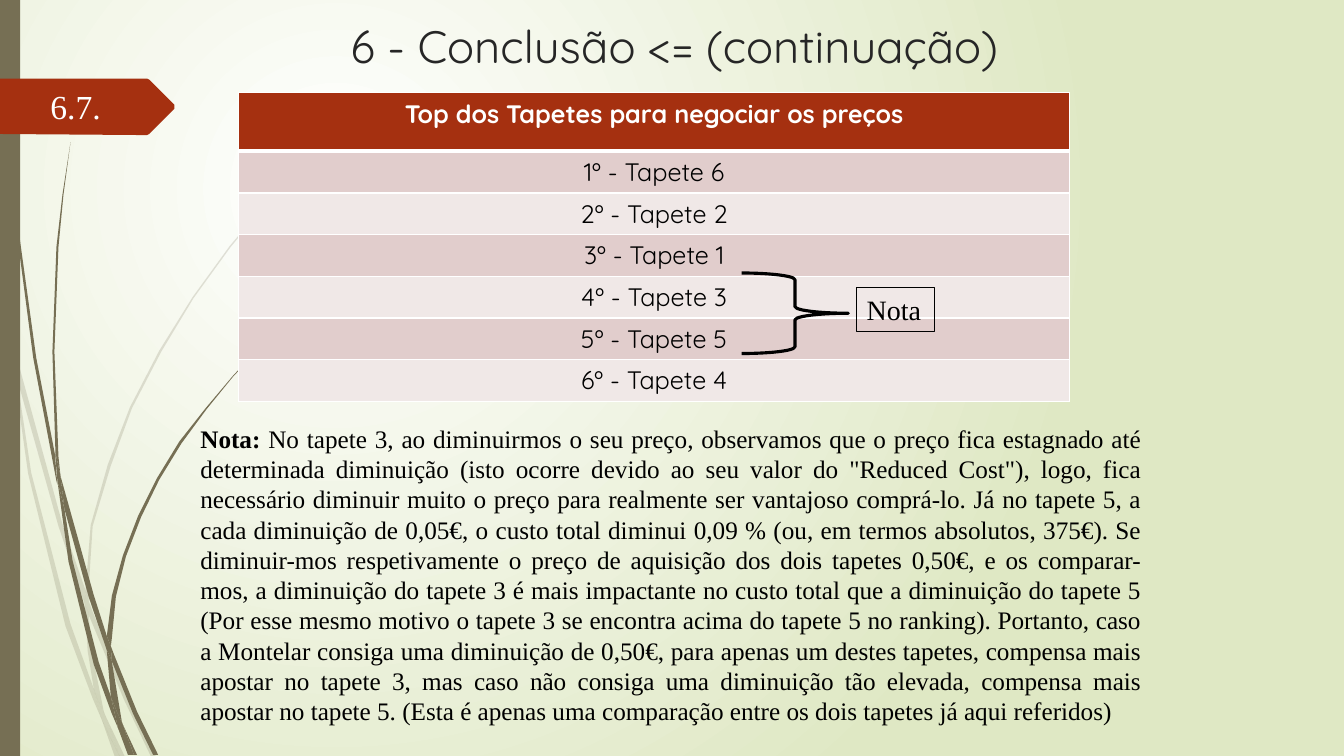
from dataclasses import dataclass
from typing import Any

from lxml.etree import SubElement
from pptx import Presentation
from pptx.dml.color import RGBColor
from pptx.enum.shapes import MSO_SHAPE as Preset
from pptx.enum.text import MSO_ANCHOR as Anchor, PP_ALIGN as Align
from pptx.oxml.ns import qn
from pptx.util import Cm, Pt

OLIVE, RUST, WHITE, BLACK = "766F54", "A53010", "FFFFFF", "000000"
SANS, SERIF = "Quicksand", "Times New Roman"
OUTLINE_UNIT = Cm(0.0254)


@dataclass(frozen=True)
class Style:
    size: float
    font: str
    color: str = BLACK
    bold: bool = False


@dataclass(frozen=True)
class TextBlock:
    box: tuple[float, float, float, float]
    runs: list[tuple[str, Style]]
    align: Align = Align.LEFT
    anchor: Anchor = Anchor.TOP
    border: str | None = None


@dataclass(frozen=True)
class Plant:
    opacity: int
    leaves: list[str]


PALE_PLANT = Plant(20, [
    "11,350 9,322 0,282 0,299 10,344",
    "58,522 84,599 85,586 62,520 14,345 17,376",
    "92,607 88,596 88,610 123,694 150,751 155,751 127,692",
    "119,751 124,751 105,711",
    "93,683 70,619 31,469 17,376 11,350 28,470 65,621 92,693 101,714 99,707",
    "84,599 87,646 93,683 96,692 105,711 103,706 91,646 88,610 88,608",
    "88,584 92,522 110,462 131,405 160,349 192,296 229,245 268,198 290,175 312,154 312,153 "
    "289,175 268,197 228,244 191,295 158,348 129,404 107,461 90,521 85,584 85,586 88,596",
    "101,714 114,751 119,751",
    "88,608 88,610 88,596 85,586 84,599",
    "96,692 93,683 99,707 101,714 119,751 105,711",
])
DARK_PLANT = Plant(100, [
    "7,110 17,233 33,355 56,477 57,481 55,457 55,453 36,355 19,232 8,109 5,48 4,0 3,0 4,48",
    "88,592 106,645 106,633 106,631 93,590 60,472 64,505",
    "113,649 110,641 111,656 132,708 152,749 157,749 136,706",
    "110,691 98,657 72,556 64,505 57,477 68,557 93,659 111,708 117,722 116,717",
    "60,472 58,453 54,349 58,245 63,193 70,141 62,193 56,245 52,349 55,449",
    "133,749 136,749 122,719",
    "57,477 64,505 60,472 55,449 55,453",
    "111,633 115,592 125,552 140,513 158,476 180,440 205,406 231,374 245,359 261,344 260,344 "
    "245,358 231,373 204,405 178,438 156,474 137,512 122,551 111,591 106,631 110,641",
    "117,722 127,749 131,749",
    "106,645 110,691 116,706 122,719 121,716 111,656 109,651",
    "106,645 109,651 111,656 110,641 106,631 106,633",
    "116,706 110,691 116,717 117,722 130,749 133,749 122,719",
])
RIBBON = "173,108 148,133 146,134 136,134 0,133 0,78 136,78 146,78 148,79 173,104"

HEADING = "Top dos Tapetes para negociar os preços"
RANKED_RUGS = [6, 2, 1, 3, 5, 4]
NOTE_SENTENCES = [
    " No tapete 3, ao diminuirmos o seu preço, observamos que o preço fica estagnado até "
    "determinada diminuição (isto ocorre devido ao seu valor do \"Reduced Cost\"), logo, fica "
    "necessário diminuir muito o preço para realmente ser vantajoso comprá-lo. ",
    "Já no tapete 5, a cada diminuição de 0,05€, o custo total diminui 0,09 % (ou, em termos "
    "absolutos, 375€). ",
    "Se diminuir-mos respetivamente o preço de aquisição dos dois tapetes 0,50€, e os "
    "comparar-mos, a diminuição do tapete 3 é mais impactante no custo total que a diminuição "
    "do tapete 5 (Por esse mesmo motivo o tapete 3 se encontra acima do tapete 5 no ranking). ",
    "Portanto, caso a Montelar consiga uma diminuição de 0,50€, para apenas um destes tapetes, "
    "compensa mais apostar no tapete 3, mas caso não consiga uma diminuição tão elevada, "
    "compensa mais apostar no tapete 5. ",
    "(Esta é apenas uma comparação entre os dois tapetes já aqui referidos)",
]
TEXT_BLOCKS = [
    TextBlock((8.59, 0.3, 18.42, 1.7),
              [("6 - Conclusão <= (continuação)", Style(32.4, SANS, "262626"))],
              anchor=Anchor.MIDDLE),
    TextBlock((4.8, 10.54, 24.23, 7.95),
              [("Nota:", Style(18, SERIF, bold=True)),
               ("".join(NOTE_SENTENCES), Style(18, SERIF))],
              align=Align.JUSTIFY),
    TextBlock((21.59, 7.24, 1.96, 1.12), [("Nota", Style(20, SERIF))], border=BLACK),
    TextBlock((1.02, 2.03, 1.85, 1.27), [("6.7.", Style(24, SERIF, WHITE))]),
]


def rgb(color: str) -> RGBColor:
    return RGBColor.from_string(color)


def assign(target: Any, values: dict[str, Any]) -> None:
    for name, value in values.items():
        setattr(target, name, value)


def lengths(box: tuple[float, ...]) -> list[Cm]:
    return [Cm(value) for value in box]


def paint(shape: Any, color: str, opacity: int = 100) -> None:
    shape.shadow.inherit = False
    shape.fill.solid()
    shape.fill.fore_color.rgb = rgb(color)
    shape.line.fill.background()
    if opacity < 100:
        tint = shape._element.spPr.find(f"{qn('a:solidFill')}/{qn('a:srgbClr')}")
        SubElement(tint, qn("a:alpha"), val=str(opacity * 1000))


def stroke(shape: Any, color: str, width: float) -> None:
    shape.shadow.inherit = False
    shape.fill.background()
    shape.line.color.rgb = rgb(color)
    shape.line.width = Pt(width)


def draw_outline(shapes: Any, outline: str, color: str, opacity: int = 100) -> None:
    points = [tuple(map(int, pair.split(","))) for pair in outline.split()]
    builder = shapes.build_freeform(*points[0], scale=OUTLINE_UNIT)
    builder.add_line_segments(points[1:], close=True)
    paint(builder.convert_to_shape(), color, opacity)


def write(paragraph: Any, runs: list[tuple[str, Style]], align: Align) -> None:
    paragraph.alignment = align
    for words, style in runs:
        run = paragraph.add_run()
        run.text = words
        assign(run.font, {"size": Pt(style.size), "name": style.font, "bold": style.bold})
        run.font.color.rgb = rgb(style.color)


def draw_text(shapes: Any, block: TextBlock) -> None:
    if block.border:
        holder = shapes.add_shape(Preset.RECTANGLE, *lengths(block.box))
        stroke(holder, block.border, 0.75)
    else:
        holder = shapes.add_textbox(*lengths(block.box))
    assign(holder.text_frame, {"word_wrap": True, "vertical_anchor": block.anchor})
    write(holder.text_frame.paragraphs[0], block.runs, block.align)


def fill_cell(cell: Any, words: str, style: Style, color: str, rule_below: float) -> None:
    properties = cell._tc.get_or_add_tcPr()
    for side, width in {"L": 1, "R": 1, "T": 1, "B": rule_below}.items():
        edge = SubElement(properties, qn(f"a:ln{side}"), w=str(Pt(width)))
        SubElement(SubElement(edge, qn("a:solidFill")), qn("a:srgbClr"), val=WHITE)
    cell.fill.solid()
    cell.fill.fore_color.rgb = rgb(color)
    write(cell.text_frame.paragraphs[0], [(words, style)], Align.CENTER)


def draw_ranking(shapes: Any) -> None:
    count = len(RANKED_RUGS) + 1
    ranking = shapes.add_table(count, 1, *lengths((6.02, 2.34, 20.93, 7.29))).table
    assign(ranking, {"first_row": False, "horz_banding": False})
    for row in ranking.rows:
        row.height = Cm(0.97)
    ranking.rows[0].height = Cm(1.47)
    fill_cell(ranking.cell(0, 0), HEADING, Style(18, SANS, WHITE, True), RUST, 3)
    for place, rug in enumerate(RANKED_RUGS, 1):
        band = "E1CDCC" if place % 2 else "F0E8E7"
        fill_cell(ranking.cell(place, 0), f"{place}º - Tapete {rug}", Style(18, SANS), band, 1)


def draw_background(slide: Any) -> None:
    fill = slide.background.fill
    fill.gradient()
    for stop, color in zip(fill.gradient_stops, (WHITE, "DFE8C4")):
        stop.color.rgb = rgb(color)
    gradient = slide._element.find(f".//{qn('a:gradFill')}")
    gradient.remove(gradient.find(qn("a:lin")))
    circle = SubElement(gradient, qn("a:path"), path="circle")
    SubElement(circle, qn("a:fillToRect"), l="50000", t="50000", r="100000", b="100000")


def main() -> None:
    deck = Presentation()
    assign(deck, {"slide_width": Cm(33.87), "slide_height": Cm(19.05)})
    slide = deck.slides.add_slide(deck.slide_layouts[6])
    shapes = slide.shapes
    draw_background(slide)
    for plant in (PALE_PLANT, DARK_PLANT):
        stems = shapes.add_group_shape().shapes
        for leaf in plant.leaves:
            draw_outline(stems, leaf, OLIVE, plant.opacity)
    paint(shapes.add_shape(Preset.RECTANGLE, *lengths((0, 0, 0.51, 19.05))), OLIVE)
    draw_outline(shapes, RIBBON, RUST)
    draw_ranking(shapes)
    for block in TEXT_BLOCKS:
        draw_text(shapes, block)
    brace = shapes.add_shape(Preset.RIGHT_BRACE, *lengths((18.69, 6.88, 2.69, 2.03)))
    stroke(brace, BLACK, 2.25)
    deck.save("out.pptx")


if __name__ == "__main__":
    main()
